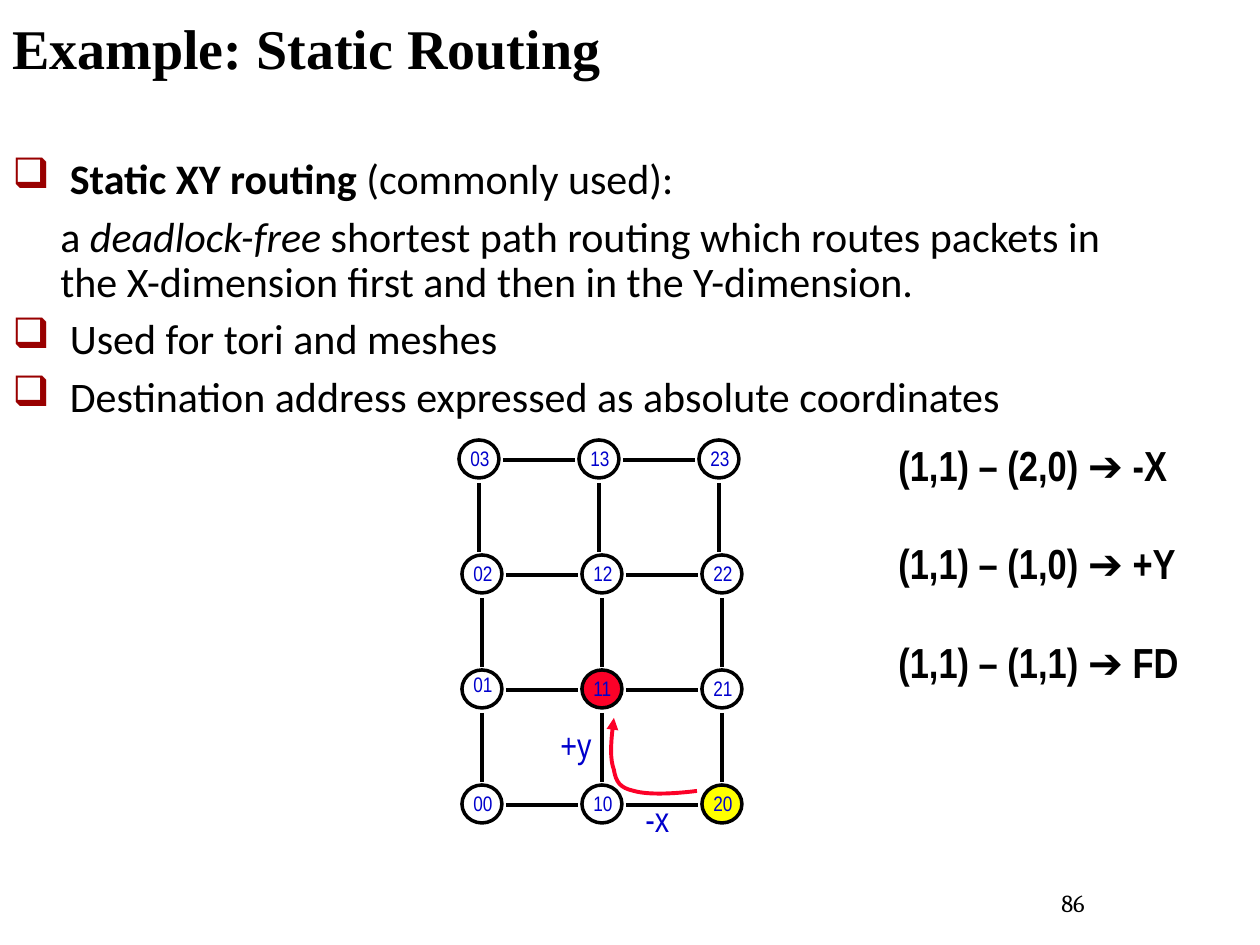
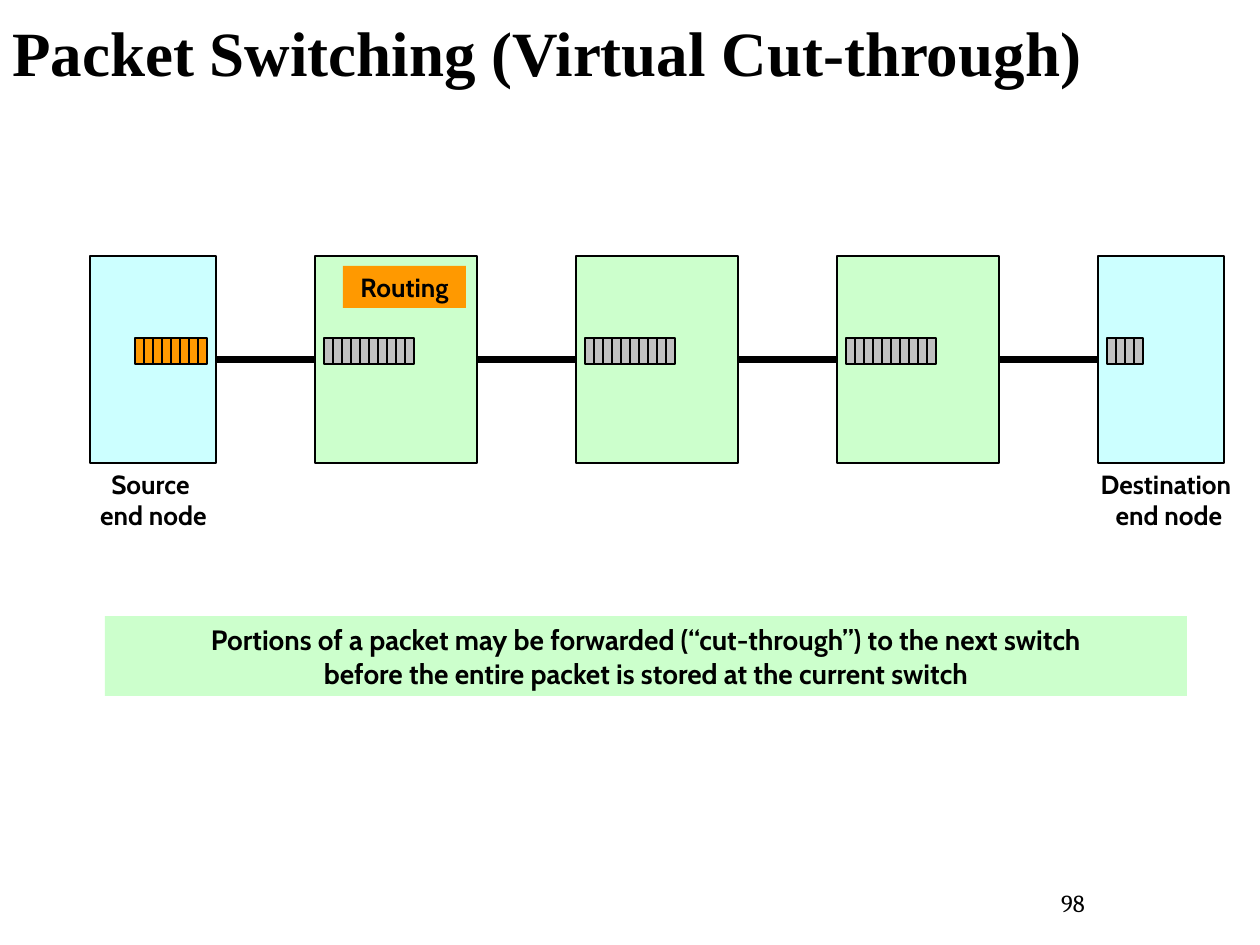
import lxml.etree
import pptx
import pptx.dml.color
import pptx.enum.shapes
import pptx.enum.text
import pptx.oxml.ns
import pptx.util

SCALE = 914400 / 126
COLORS = {
    "black": "000000",
    "label": "0000CC",
    "bullet": "990000",
    "route": "FC0128",
    "start": "FFFF00",
    "switch": "CCFFCC",
    "node": "CCFFFF",
    "flit": "C0C0C0",
    "orange": "FF9900",
}
ALIGN = pptx.enum.text.PP_ALIGN
SHAPES = pptx.enum.shapes.MSO_SHAPE
qn = pptx.oxml.ns.qn


def px(length):
    """Convert pixels to EMU."""
    return round(length * SCALE)


def rgb(name):
    """Look up a named colour."""
    return pptx.dml.color.RGBColor.from_string(COLORS[name])


class Deck:
    """Hold the shared style and draw elements on the current slide."""

    def __init__(self):
        """Start an empty presentation."""
        self.presentation = pptx.Presentation()
        self.presentation.slide_width = px(1260)
        self.presentation.slide_height = px(945)
        self.slide = None

    def start_slide(self, title, title_size, number):
        """Add a slide with its title and page number."""
        self.slide = self.presentation.slides.add_slide(self.presentation.slide_layouts[6])
        frame = self.text(0, 0, 1260, 140, [title], title_size, "Times New Roman", bold=True, wrap=True)
        frame.margin_top = px(14)
        self.text(926, 882, 294, 50, [str(number)], 14, "Cambria", align=ALIGN.CENTER, wrap=True)

    def set_lines(self, frame, lines, size, font, color="black", bold=False, align=ALIGN.LEFT, space=0):
        """Fill a text frame with one paragraph per line."""
        frame.text = "\n".join(lines)
        for index, paragraph in enumerate(frame.paragraphs):
            paragraph.alignment = align
            paragraph.space_before = pptx.util.Pt(space if index else 0)
            for run in paragraph.runs:
                self.format_run(run, size, font, color, bold)

    def format_run(self, run, size, font, color="black", bold=False, italic=False):
        """Set the look of a run."""
        run.font.size = pptx.util.Pt(size)
        run.font.name = font
        run.font.bold = bold
        run.font.italic = italic
        run.font.color.rgb = rgb(color)

    def text(self, left, top, width, height, lines, size, font, wrap=False, **style):
        """Add a text box."""
        box = self.slide.shapes.add_textbox(px(left), px(top), px(width), px(height))
        box.text_frame.word_wrap = wrap
        self.set_lines(box.text_frame, lines, size, font, **style)
        return box.text_frame

    def body(self, left, top, width, height, items):
        """Add a list of (bulleted, runs) items, each run a (text, emphasis) pair."""
        frame = self.text(left, top, width, height, [], 24, "Calibri", wrap=True)
        for index, (bulleted, runs) in enumerate(items):
            paragraph = frame.add_paragraph() if index else frame.paragraphs[0]
            properties = paragraph._p.get_or_add_pPr()
            properties.set("marL", str(px(48)))
            properties.set("indent", str(px(-48 if bulleted else 0)))
            if bulleted:
                color = lxml.etree.SubElement(properties, qn("a:buClr"))
                lxml.etree.SubElement(color, qn("a:srgbClr"), val=COLORS["bullet"])
                lxml.etree.SubElement(properties, qn("a:buChar"), char="❑")
            paragraph.line_spacing = 0.9
            paragraph.space_before = pptx.util.Pt(7 if index else 0)
            for words, emphasis in runs:
                run = paragraph.add_run()
                run.text = words
                self.format_run(run, 24, "Calibri", bold=emphasis == "bold", italic=emphasis == "italic")

    def shape(self, kind, left, top, width, height, fill=None, line=None):
        """Add a preset shape; line is a width in points."""
        shape = self.slide.shapes.add_shape(kind, px(left), px(top), px(width), px(height))
        self.style_shape(shape, fill, line)
        return shape

    def style_shape(self, shape, fill=None, line=None, line_color="black"):
        """Set fill and outline and drop the shadow."""
        shape.shadow.inherit = False
        if fill:
            shape.fill.solid()
            shape.fill.fore_color.rgb = rgb(fill)
        else:
            shape.fill.background()
        if line:
            shape.line.width = pptx.util.Pt(line)
            shape.line.color.rgb = rgb(line_color)
        else:
            shape.line.fill.background()

    def banner(self, left, top, width, height, lines, size, fill):
        """Add a filled rectangle with centred bold text."""
        shape = self.shape(SHAPES.RECTANGLE, left, top, width, height, fill)
        shape.text_frame.word_wrap = False
        self.set_lines(shape.text_frame, lines, size, "Cabin", bold=True, align=ALIGN.CENTER)

    def line(self, x1, y1, x2, y2, width):
        """Add a straight black line."""
        connector = self.slide.shapes.add_connector(
            pptx.enum.shapes.MSO_CONNECTOR.STRAIGHT, px(x1), px(y1), px(x2), px(y2))
        connector.line.width = pptx.util.Pt(width)
        connector.line.color.rgb = rgb("black")
        lxml.etree.SubElement(connector._element.spPr, qn("a:effectLst"))
        return connector

    def link(self, first, second, width):
        """Join the right side of one rectangle to the left side of the next."""
        connector = self.line(0, 0, 0, 0, width)
        connector.begin_connect(first, 3)
        connector.end_connect(second, 1)

    def curved_arrow(self, points, color, width):
        """Draw an arrow along cubic curves: a start, then three points per curve."""
        builder = self.slide.shapes.build_freeform(*points[0], scale=SCALE)
        builder.add_line_segments(points[1:], close=False)
        shape = builder.convert_to_shape()
        segments = shape._element.xpath(".//a:lnTo")
        for start in range(0, len(segments), 3):
            curve = lxml.etree.SubElement(segments[start].getparent(), qn("a:cubicBezTo"))
            for segment in segments[start:start + 3]:
                curve.append(segment[0])
                segment.getparent().remove(segment)
        self.style_shape(shape, line=width, line_color=color)
        outline = shape._element.spPr.find(qn("a:ln"))
        lxml.etree.SubElement(outline, qn("a:tailEnd"), type="triangle")

    def flits(self, left, count, fill):
        """Draw a row of adjoining flits."""
        for index in range(count):
            self.shape(SHAPES.RECTANGLE, left + 9 * index, 338, 9, 26, fill, 1)


def draw_mesh(deck):
    """Draw the mesh of routers, with row 0 at the bottom."""
    fills = {(1, 1): "route", (2, 0): "start"}
    routers = {(x, y): (462 + 120 * x - (3 if y == 3 else 0), 785 - 115 * y)
               for y in range(4) for x in range(3)}
    for (x, y), (left, top) in routers.items():
        deck.shape(SHAPES.OVAL, left, top, 40, 38, fills.get((x, y)), 2)
        if x < 2:
            deck.line(left + 44, top + 20, left + 116, top + 20, 2)
        if y > 0:
            deck.line(left + 20, top + 43, left + 20, top + 112, 2)
    for (x, y), (left, top) in routers.items():
        lift = 5 if (x, y) == (0, 1) else 1
        deck.text(left - 1, top - lift, 49, 38, [f"{x}{y}"], 12, "Arial Narrow", color="label")


def static_routing(deck):
    """Build the static routing slide."""
    deck.start_slide("Example: Static Routing", 32, 86)
    deck.body(0, 152, 1162, 267, [
        (True, [(" Static XY routing ", "bold"), ("(commonly used):", None)]),
        (False, [("a ", None), ("deadlock-free", "italic"),
                 (" shortest path routing which routes packets in the X-dimension first "
                  "and then in the Y-dimension.", None)]),
        (True, [(" Used for tori and meshes", None)]),
        (True, [(" Destination address expressed as absolute coordinates", None)]),
    ])
    draw_mesh(deck)
    deck.curved_arrow([(697, 791), (673, 794), (648, 795), (634, 791), (620, 788),
                       (616, 782), (614, 770), (610, 759), (611, 738), (614, 718)], "route", 2.25)
    deck.text(633, 791, 54, 54, ["-x"], 20, "Arial Narrow", color="label")
    deck.text(548, 717, 63, 54, ["+y"], 20, "Arial Narrow", color="label")
    deck.text(886, 433, 316, 267,
              ["(1,1) – (2,0) ➔ -X", "(1,1) – (1,0) ➔ +Y", "(1,1) – (1,1) ➔ FD"],
              24, "Arial Narrow", bold=True, space=27.6)


def packet_switching(deck):
    """Build the virtual cut-through slide."""
    deck.start_slide("Packet Switching (Virtual Cut-through)", 36, 98)
    switch_lefts = [315 + 261 * index for index in range(3)]
    stations = [(90, 126, "node")]
    stations += [(left, 162, "switch") for left in switch_lefts]
    stations += [(1098, 126, "node")]
    boxes = [deck.shape(SHAPES.RECTANGLE, left, 256, width, 207, fill, 1)
             for left, width, fill in stations]
    for first, second in zip(boxes, boxes[1:]):
        deck.link(first, second, 4.5)
    deck.flits(135, 8, "orange")
    for left in switch_lefts:
        deck.flits(left + 9, 10, "flit")
    deck.flits(1107, 4, "flit")
    for left, width, name in [(83, 141, "Source "), (1080, 178, "Destination ")]:
        deck.text(left, 462, width, 73, [name, "end node"], 15, "Cabin", bold=True, align=ALIGN.CENTER)
    deck.banner(343, 266, 123, 42, ["Routing"], 15, "orange")
    deck.banner(105, 616, 1082, 80, [
        "Portions of a packet may be forwarded (“cut-through”) to the next switch",
        "before the entire packet is stored at the current switch",
    ], 16, "switch")


def main():
    """Build and save the presentation."""
    deck = Deck()
    static_routing(deck)
    packet_switching(deck)
    deck.presentation.save("out.pptx")


if __name__ == "__main__":
    main()
